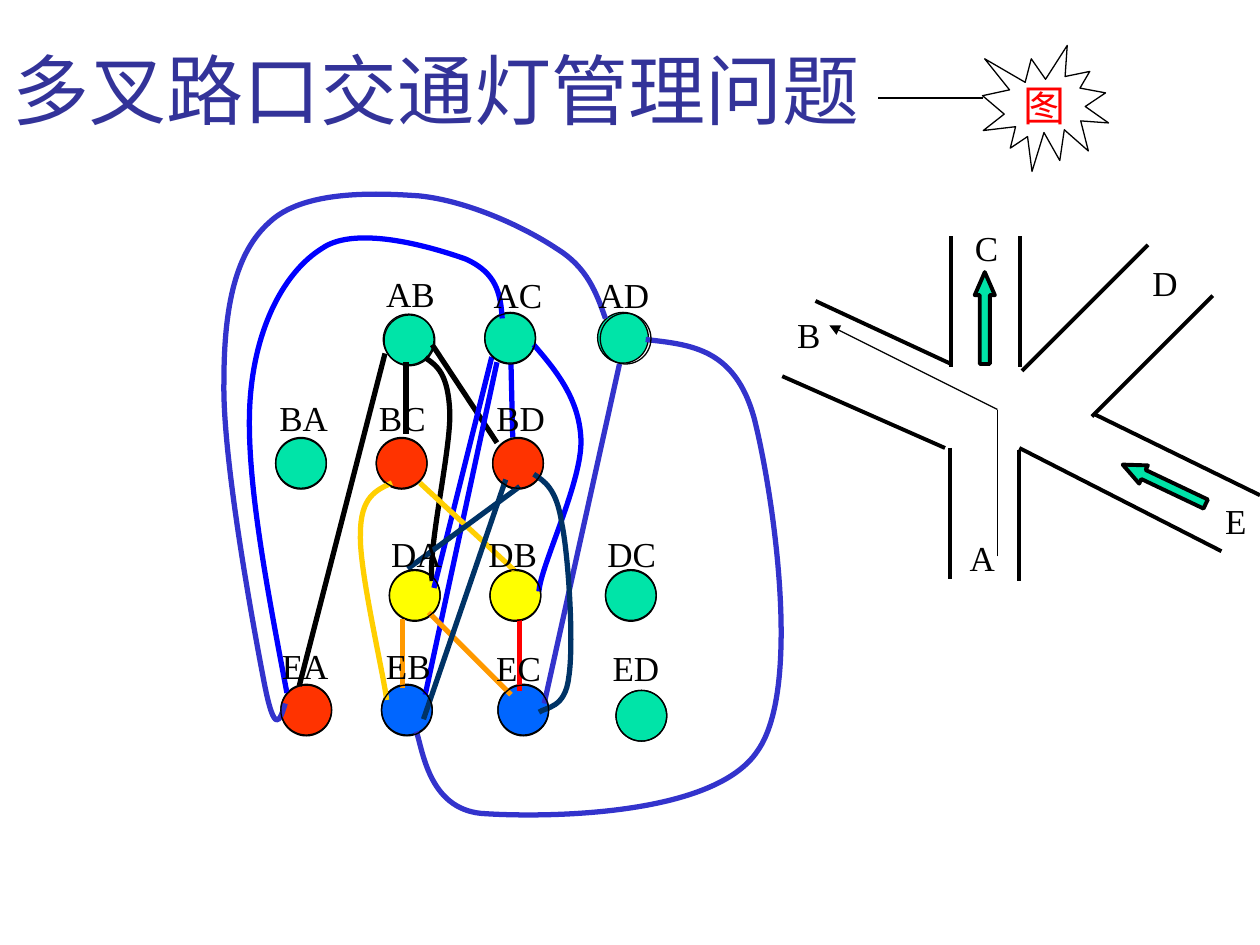
from dataclasses import dataclass

from pptx import Presentation
from pptx.dml.color import RGBColor
from pptx.enum.shapes import MSO_CONNECTOR, MSO_SHAPE
from pptx.enum.text import MSO_ANCHOR, MSO_AUTO_SIZE, PP_ALIGN
from pptx.oxml.ns import qn
from pptx.util import Pt


@dataclass(frozen=True)
class Theme:
    title: str = "333399"
    black: str = "000000"
    green: str = "00E4A8"
    vermilion: str = "FF3300"
    yellow: str = "FFFF00"
    azure: str = "0066FF"
    blue: str = "0000FF"
    indigo: str = "3333CC"
    gold: str = "FFCF01"
    orange: str = "FF9900"
    red: str = "FF0000"
    navy: str = "003366"
    title_font: str = "Cabin"
    body_font: str = "Times New Roman"
    title_size: float = 44
    star_size: float = 24
    label_size: float = 20
    thin: float = 0.75
    road: float = 2.25
    edge: float = 3


theme = Theme()


def add_line(shapes, start, end, width, color=theme.black):
    line = shapes.add_connector(MSO_CONNECTOR.STRAIGHT, *map(Pt, start + end))
    line.line.color.rgb = RGBColor.from_string(color)
    line.line.width = Pt(width)
    properties = line._element.spPr
    properties.append(properties.makeelement(qn("a:effectLst"), {}))
    return line


def style_shape(shape, fill, width, color=theme.black):
    shape.shadow.inherit = False
    if fill:
        shape.fill.solid()
        shape.fill.fore_color.rgb = RGBColor.from_string(fill)
    else:
        shape.fill.background()
    shape.line.color.rgb = RGBColor.from_string(color)
    shape.line.width = Pt(width)


presentation = Presentation()
presentation.slide_width, presentation.slide_height = Pt(720), Pt(540)
slide = presentation.slides.add_slide(presentation.slide_layouts[5])

# Title
title = slide.shapes.title
title.left, title.top, title.width, title.height = Pt(0), Pt(20), Pt(613.5), Pt(60.5)
title.text_frame.vertical_anchor = MSO_ANCHOR.BOTTOM
title.text_frame.auto_size = MSO_AUTO_SIZE.NONE
paragraph = title.text_frame.paragraphs[0]
paragraph.alignment = PP_ALIGN.LEFT
run = paragraph.add_run()
run.text = "多叉路口交通灯管理问题"
run.font.name = theme.title_font
run.font.size = Pt(theme.title_size)
run.font.color.rgb = RGBColor.from_string(theme.title)

# Intersection: kerbs and one-way arrows
intersection = slide.shapes.add_group_shape().shapes
kerbs = [
    ((543.5, 135), (543.5, 210)), ((583, 135), (583, 210)),
    ((543, 256), (543, 331)), ((582.5, 257), (582.5, 332)),
    ((543.5, 208), (466, 172)), ((540, 256), (447, 215)),
    ((624, 238), (693, 169)), ((626, 237), (720, 283)),
    ((582.5, 256), (698, 315)), ((584, 212), (656, 140)),
]
for start, end in kerbs:
    add_line(intersection, start, end, theme.road)
for left, top, rotation in [(557, 155.5, 0), (659.5, 250.5, 295.4)]:
    arrow = intersection.add_shape(
        MSO_SHAPE.UP_ARROW, Pt(left), Pt(top), Pt(11.5), Pt(52.5))
    arrow.adjustments[1] = 1.146
    arrow.rotation = rotation
    style_shape(arrow, theme.green, theme.road)

# Route from A to B
route = slide.shapes.add_group_shape().shapes
add_line(route, (570, 318), (570, 234), theme.thin)
last_leg = add_line(route, (570, 234), (474, 186), theme.thin)
line_properties = last_leg.line._get_or_add_ln()
line_properties.append(
    line_properties.makeelement(qn("a:tailEnd"), {"type": "triangle"}))

# Traffic flows: name, circle, fill, outline shift, label place and width
diameter = 29
nodes = [
    ("AB", 219.5, 180, theme.green, -0.5, -0.5, 213.5, 152, 43),
    ("AC", 277, 178.5, theme.green, 0, 0.5, 275, 153, 43),
    ("AD", 341.5, 178.5, theme.green, 1.5, 0.5, 335, 153, 44),
    ("BA", 157.5, 250.5, theme.green, 0, -0.5, 152.5, 223, 43),
    ("BC", 215, 250.5, theme.vermilion, 0, -0.5, 209.5, 223, 42),
    ("BD", 281.5, 250.5, theme.vermilion, 0, -0.5, 276.5, 223, 43),
    ("DA", 222.5, 326, theme.yellow, 0, -0.5, 216.5, 301, 44),
    ("DB", 280, 326, theme.yellow, 0, -0.5, 272, 301, 43),
    ("DC", 346, 326, theme.green, 0, -0.5, 340, 301, 43),
    ("EA", 160.5, 391, theme.vermilion, 0, 0.5, 154, 364.5, 42),
    ("EB", 218, 391, theme.azure, 0, 0.5, 213.5, 364.5, 41),
    ("EC", 284.5, 391, theme.azure, 0, 0.5, 276.5, 366, 41),
    ("ED", 352, 394.5, theme.green, 0, 0, 343, 366, 42),
]
for name, left, top, fill, *_ in nodes:
    circle = slide.shapes.add_shape(
        MSO_SHAPE.OVAL, Pt(left), Pt(top), Pt(diameter), Pt(diameter))
    style_shape(circle, fill, theme.thin)

# Conflict edges: two points make a line, more make a chain of cubic curves
conflicts = [
    (theme.black, [
        [(220, 202), (171, 392)],
        [(232, 207), (232, 248)],
        [(243, 204.5), (250, 209), (256, 214), (257, 235),
         (258, 256), (244, 315), (247, 332)],
        [(247, 197), (284, 253)]]),
    (theme.blue, [
        [(287, 182), (286, 168), (284, 156), (266, 148), (249, 142), (204, 128),
         (184, 142), (163, 155), (146, 186), (143, 228), (140, 270), (152, 333),
         (164, 396)],
        [(292, 208), (293, 250)],
        [(305, 197), (318, 212), (331, 228), (332, 251),
         (333, 275), (309, 323), (308, 338)],
        [(281, 204), (248, 336)],
        [(284, 207), (243, 397)]]),
    (theme.indigo, [
        [(346, 182), (341, 168), (336, 153), (318, 142), (300, 130), (268, 115),
         (240, 112), (213, 110), (173, 109), (154, 127), (135, 144), (128, 174),
         (128, 218), (127, 262), (145, 359), (151, 390), (157, 421), (160, 412),
         (163, 402)],
        [(354, 208), (311, 402)],
        [(369, 194), (395, 197), (420, 199), (431, 239), (441, 278), (459, 392),
         (433, 429), (408, 467), (310, 467), (278, 465), (246, 464), (242, 431),
         (238, 418)]]),
    (theme.gold, [
        [(240, 276), (294, 326)],
        [(224, 276), (215, 280), (206, 284), (206, 305),
         (205, 325), (219, 384), (221, 400)]]),
    (theme.orange, [[(230, 354), (230, 393)], [(245, 350), (292, 397)]]),
    (theme.red, [[(297, 354), (297, 395)]]),
    (theme.navy, [
        [(233, 325), (297, 278)],
        [(305, 271), (311, 275), (318, 279), (321, 299), (325, 318), (328, 369),
         (325, 387), (323, 405), (312, 404), (308, 407)],
        [(289, 274), (242, 411)]]),
]
for color, edges in conflicts:
    edge_group = slide.shapes.add_group_shape().shapes
    for points in edges:
        if len(points) == 2:
            add_line(edge_group, *points, theme.edge, color)
            continue
        start, *rest = [(Pt(x), Pt(y)) for x, y in points]
        builder = edge_group.build_freeform(*start)
        builder.add_line_segments(rest, close=False)
        curve = builder.convert_to_shape()
        style_shape(curve, None, theme.edge, color)
        # Each three straight segments become one Bezier segment
        outline = next(curve._element.iter(qn("a:path")))
        segments = outline.findall(qn("a:lnTo"))
        for first in range(0, len(segments), 3):
            bezier = outline.makeelement(qn("a:cubicBezTo"), {})
            for segment in segments[first:first + 3]:
                bezier.append(segment[0])
                outline.remove(segment)
            outline.append(bezier)

# Labels of roads and flows
labels = [("C", 550, 126, 29), ("E", 693, 282, 27), ("D", 651.5, 146, 30),
          ("A", 547, 303, 30), ("B", 448.5, 175.5, 28)]
labels += [(node[0], *node[6:]) for node in nodes]
for name, left, top, width in labels:
    label = slide.shapes.add_textbox(Pt(left), Pt(top), Pt(width), Pt(31.5))
    label.text_frame.word_wrap = False
    label.text_frame.auto_size = MSO_AUTO_SIZE.SHAPE_TO_FIT_TEXT
    run = label.text_frame.paragraphs[0].add_run()
    run.text = name
    run.font.name = theme.body_font
    run.font.size = Pt(theme.label_size)
    run.font.color.rgb = RGBColor.from_string(theme.black)

# Thin rings over the circles
rings = slide.shapes.add_group_shape().shapes
for name, left, top, fill, shift_x, shift_y, *_ in nodes:
    ring = rings.add_shape(MSO_SHAPE.OVAL, Pt(left + shift_x), Pt(top + shift_y),
                           Pt(diameter), Pt(diameter))
    style_shape(ring, None, theme.thin)

# Star beside the title
star = slide.shapes.add_shape(
    MSO_SHAPE.EXPLOSION1, Pt(561.5), Pt(26), Pt(72), Pt(72))
style_shape(star, None, theme.thin)
star.text_frame.word_wrap = False
star.text_frame.vertical_anchor = MSO_ANCHOR.MIDDLE
paragraph = star.text_frame.paragraphs[0]
paragraph.alignment = PP_ALIGN.CENTER
run = paragraph.add_run()
run.text = "图"
run.font.name = theme.body_font
run.font.size = Pt(theme.star_size)
run.font.color.rgb = RGBColor.from_string(theme.red)
add_line(slide.shapes, (502, 56), (561.5, 56), theme.thin)

presentation.save("out.pptx")
